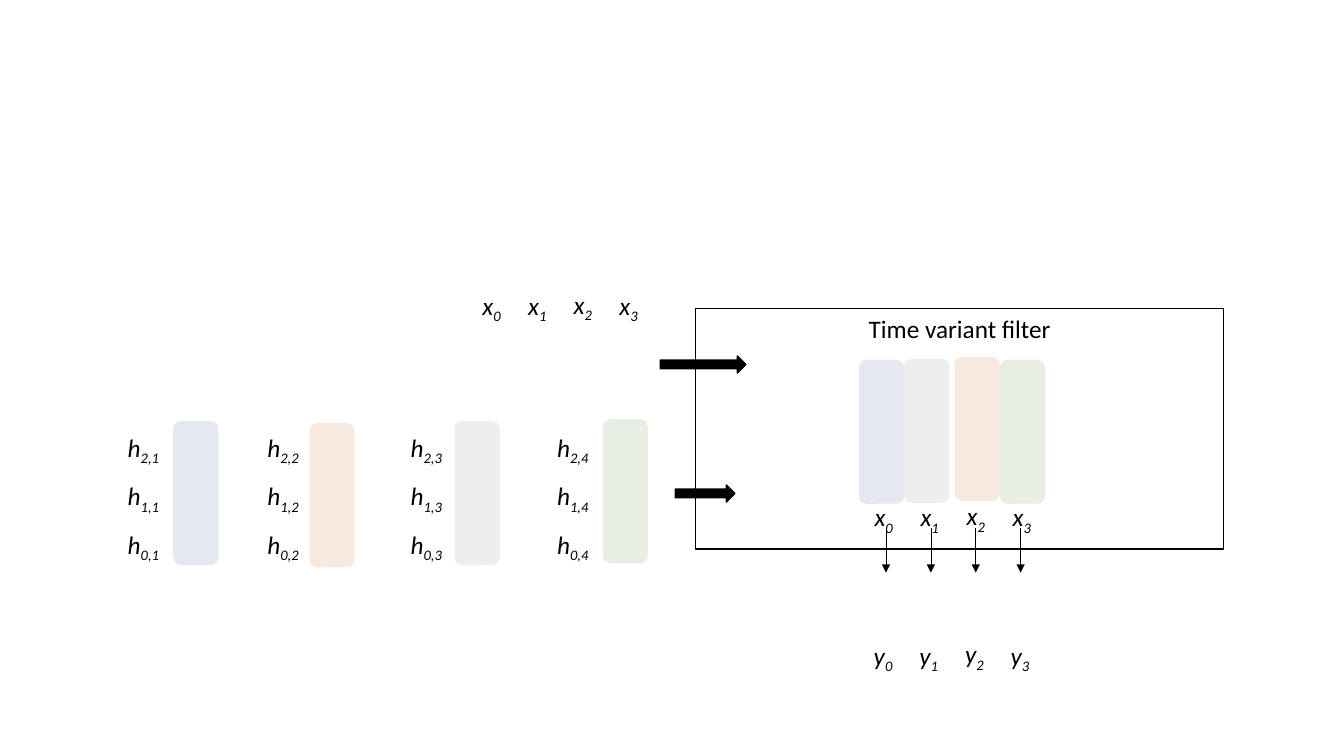
from dataclasses import dataclass

from lxml.etree import SubElement
from pptx import Presentation
from pptx.dml.color import RGBColor
from pptx.enum.shapes import MSO_CONNECTOR, MSO_SHAPE
from pptx.enum.text import MSO_ANCHOR, MSO_AUTO_SIZE, PP_ALIGN
from pptx.oxml.ns import qn
from pptx.shapes.autoshape import Shape
from pptx.slide import Slide
from pptx.text.text import _Paragraph as Paragraph
from pptx.util import Cm, Pt


@dataclass(frozen=True)
class Theme:
    ink: str = "000000"
    paper: str = "FFFFFF"
    blue: str = "2F5597"
    orange: str = "C55A11"
    gray: str = "7C7C7C"
    green: str = "548235"
    bar_opacity: int = 13
    font: str = "Calibri"
    text_size: float = 18
    outline: float = 1
    thin_line: float = 0.5


@dataclass(frozen=True)
class Box:
    left: float
    top: float
    width: float
    height: float


@dataclass(frozen=True)
class FilterColumn:
    color: str
    label_left: float
    bar_left: float
    bar_top: float
    slot_left: float
    slot_top: float


@dataclass(frozen=True)
class SignalRow:
    symbol: str
    left: float
    top: float
    step: float


THEME = Theme()
BAR_LENGTH, BAR_THICKNESS = 3.63, 1.14
LABEL_HEIGHT = 1.02
COEFFICIENT_WIDTH, SIGNAL_WIDTH = 1.4, 1.02
COEFFICIENT_TOP, COEFFICIENT_STEP = 10.77, 1.22
TAPS = 3
SAMPLES = 4
RAISED_SAMPLE, RAISE = 2, 0.03
OUTPUT_LEFT, OUTPUT_STEP = 22.33, 1.13
OUTPUT_TOP, OUTPUT_BOTTOM = 13.31, 14.43

FILTER_BOX = Box(17.53, 7.77, 13.31, 6.07)
COLUMNS = (
    FilterColumn(THEME.blue, 2.97, 3.12, 11.86, 20.4, 10.31),
    FilterColumn(THEME.orange, 6.49, 6.55, 11.91, 22.81, 10.24),
    FilterColumn(THEME.gray, 10.1, 10.21, 11.86, 21.54, 10.29),
    FilterColumn(THEME.green, 13.79, 13.94, 11.81, 23.95, 10.31),
)
SIGNALS = (
    SignalRow("x", 21.79, 12.52, 1.16),
    SignalRow("y", 21.77, 16.0, 1.15),
    SignalRow("x", 11.91, 7.19, 1.15),
)
INPUT_ARROWS = (Box(16.64, 8.97, 2.16, 0.43), Box(17.02, 12.22, 1.5, 0.43))


def add_run(paragraph: Paragraph, text: str, italic: bool = False, subscript: bool = False) -> None:
    run = paragraph.add_run()
    run.text = text
    run.font.name = THEME.font
    run.font.size = Pt(THEME.text_size)
    run.font.italic = italic
    run.font.color.rgb = RGBColor.from_string(THEME.ink)
    if subscript:
        run._r.get_or_add_rPr().set("baseline", "-25000")


def add_filled_shape(slide: Slide, kind: MSO_SHAPE, box: Box, fill: str, outlined: bool) -> Shape:
    shape = slide.shapes.add_shape(kind, Cm(box.left), Cm(box.top), Cm(box.width), Cm(box.height))
    shape.shadow.inherit = False
    shape.fill.solid()
    shape.fill.fore_color.rgb = RGBColor.from_string(fill)
    if outlined:
        shape.line.color.rgb = RGBColor.from_string(THEME.ink)
        shape.line.width = Pt(THEME.outline)
    else:
        shape.line.fill.background()
    return shape


def add_filter_box(slide: Slide) -> None:
    shape = add_filled_shape(slide, MSO_SHAPE.RECTANGLE, FILTER_BOX, THEME.paper, True)
    shape.text_frame.vertical_anchor = MSO_ANCHOR.TOP
    paragraph = shape.text_frame.paragraphs[0]
    paragraph.alignment = PP_ALIGN.CENTER
    add_run(paragraph, "Time variant filter")


def add_bar(slide: Slide, left: float, top: float, color: str) -> None:
    box = Box(left, top, BAR_LENGTH, BAR_THICKNESS)
    shape = add_filled_shape(slide, MSO_SHAPE.ROUNDED_RECTANGLE, box, color, False)
    shape.rotation = 90
    fill_color = shape.fill._xPr.find(qn("a:solidFill")).find(qn("a:srgbClr"))
    SubElement(fill_color, qn("a:alpha")).set("val", str(THEME.bar_opacity * 1000))


def add_symbol(slide: Slide, symbol: str, index: str, left: float, top: float, width: float) -> None:
    shape = slide.shapes.add_textbox(Cm(left), Cm(top), Cm(width), Cm(LABEL_HEIGHT))
    shape.text_frame.word_wrap = False
    shape.text_frame.auto_size = MSO_AUTO_SIZE.SHAPE_TO_FIT_TEXT
    paragraph = shape.text_frame.paragraphs[0]
    add_run(paragraph, symbol, italic=True)
    add_run(paragraph, index, italic=True, subscript=True)


def add_output_arrow(slide: Slide, left: float) -> None:
    connector = slide.shapes.add_connector(
        MSO_CONNECTOR.STRAIGHT, Cm(left), Cm(OUTPUT_TOP), Cm(left), Cm(OUTPUT_BOTTOM)
    )
    connector.line.color.rgb = RGBColor.from_string(THEME.ink)
    connector.line.width = Pt(THEME.thin_line)
    SubElement(connector.line._get_or_add_ln(), qn("a:tailEnd")).set("type", "triangle")
    SubElement(connector._element.spPr, qn("a:effectLst"))


def add_signal_row(slide: Slide, row: SignalRow) -> None:
    for sample in range(SAMPLES):
        top = row.top - (RAISE if sample == RAISED_SAMPLE else 0)
        add_symbol(slide, row.symbol, str(sample), row.left + sample * row.step, top, SIGNAL_WIDTH)


def main() -> None:
    presentation = Presentation()
    presentation.slide_width = Cm(33.87)
    presentation.slide_height = Cm(19.05)
    slide = presentation.slides.add_slide(presentation.slide_layouts[6])

    add_filter_box(slide)
    for number, column in enumerate(COLUMNS, start=1):
        for tap in range(TAPS):
            top = COEFFICIENT_TOP + (TAPS - 1 - tap) * COEFFICIENT_STEP
            add_symbol(slide, "h", f"{tap},{number}", column.label_left, top, COEFFICIENT_WIDTH)
    for column in COLUMNS:
        add_bar(slide, column.bar_left, column.bar_top, column.color)
    for column in COLUMNS:
        add_bar(slide, column.slot_left, column.slot_top, column.color)
    for sample in range(SAMPLES):
        add_output_arrow(slide, OUTPUT_LEFT + sample * OUTPUT_STEP)
    for row in SIGNALS:
        add_signal_row(slide, row)
    for box in INPUT_ARROWS:
        add_filled_shape(slide, MSO_SHAPE.RIGHT_ARROW, box, THEME.ink, True)

    presentation.save("out.pptx")


if __name__ == "__main__":
    main()
